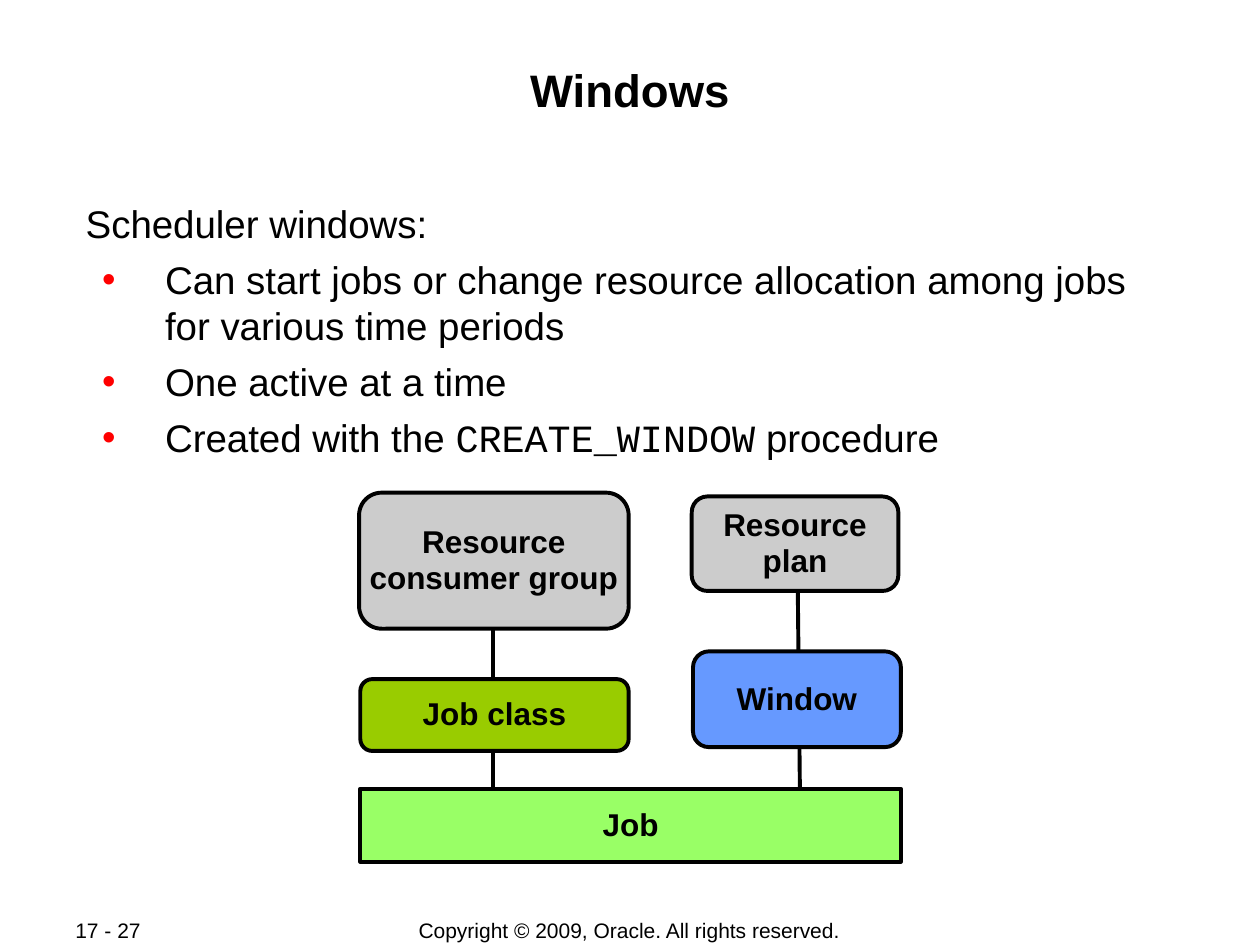
from dataclasses import dataclass

from lxml import etree
from pptx import Presentation
from pptx.dml.color import RGBColor
from pptx.enum import shapes, text
from pptx.oxml.ns import qn
from pptx.util import Inches, Pt

BLACK = RGBColor(0x00, 0x00, 0x00)
GREY = RGBColor(0xCC, 0xCC, 0xCC)
BLUE = RGBColor(0x66, 0x99, 0xFF)
OLIVE = RGBColor(0x99, 0xCC, 0x00)
GREEN = RGBColor(0x99, 0xFF, 0x66)
BULLET_RED = RGBColor(0xFF, 0x00, 0x00)
OUTLINE = Pt(2.25)
ROUNDED = shapes.MSO_SHAPE.ROUNDED_RECTANGLE


@dataclass(frozen=True)
class Box:
    lines: tuple[str, ...]
    left: float
    top: float
    width: float
    height: float
    fill: RGBColor
    outline: shapes.MSO_SHAPE = ROUNDED


@dataclass(frozen=True)
class Link:
    start: tuple[float, float]
    end: tuple[float, float]


@dataclass(frozen=True)
class Footer:
    words: str
    left: float
    width: float
    align: text.PP_ALIGN


LINKS = (
    Link((6.33, 4.51), (6.35, 6.42)),
    Link((3.91, 4.72), (3.91, 6.42)),
)
BOXES = (
    Box(("Resource", "plan"), 5.49, 3.94, 1.64, 0.75, GREY),
    Box(("Resource", "consumer group"), 2.85, 3.91, 2.14, 1.08, GREY),
    Box(("Window",), 5.5, 5.17, 1.65, 0.76, BLUE),
    Box(("Job class",), 2.86, 5.39, 2.13, 0.57, OLIVE),
    Box(("Job",), 2.86, 6.26, 4.29, 0.58, GREEN, shapes.MSO_SHAPE.RECTANGLE),
)
FOOTERS = (
    Footer("Copyright © 2009, Oracle. All rights reserved.", 2.75, 4.49,
           text.PP_ALIGN.CENTER),
    Footer("17 - 27", 0.5, 1.06, text.PP_ALIGN.LEFT),
)
# Each paragraph is a list of (words, font name) runs; the first is the lead-in.
BODY = (
    [("Scheduler windows:", "Arial")],
    [("Can start jobs or change resource allocation among jobs "
      "for various time periods", "Arial")],
    [("One active at a time", "Arial")],
    [("Created with the ", "Arial"), ("CREATE_WINDOW", "Courier New"),
     (" procedure", "Arial")],
)


def style_font(font, size: float, bold: bool = False) -> None:
    font.name = "Arial"
    font.size = Pt(size)
    font.bold = bold
    font.color.rgb = BLACK


def set_frame(frame, anchor, inset_x: float, inset_y: float, wrap: bool = True) -> None:
    frame.auto_size = text.MSO_AUTO_SIZE.NONE
    frame.word_wrap = wrap
    frame.vertical_anchor = anchor
    frame.margin_left = frame.margin_right = Inches(inset_x)
    frame.margin_top = frame.margin_bottom = Inches(inset_y)


def place(shape, left: float, top: float, width: float, height: float) -> None:
    shape.left, shape.top = Inches(left), Inches(top)
    shape.width, shape.height = Inches(width), Inches(height)


def set_bullet(paragraph, bulleted: bool) -> None:
    """Give the paragraph a red hanging bullet, or neither bullet nor indent."""
    props = paragraph._p.get_or_add_pPr()
    props.set("marL", str(Inches(0.63 if bulleted else 0)))
    props.set("indent", str(Inches(-0.5 if bulleted else 0)))
    if not bulleted:
        etree.SubElement(props, qn("a:buNone"))
        return
    colour = etree.SubElement(props, qn("a:buClr"))
    etree.SubElement(colour, qn("a:srgbClr"), val=str(BULLET_RED))
    etree.SubElement(props, qn("a:buFont"), typeface="Arial")
    etree.SubElement(props, qn("a:buChar"), char="•")


def fill_title(title) -> None:
    place(title, 0.67, 0.48, 8.66, 0.96)
    set_frame(title.text_frame, text.MSO_ANCHOR.TOP, 0.01, 0.01)
    heading = title.text_frame.paragraphs[0]
    heading.text = "Windows"
    heading.alignment = text.PP_ALIGN.CENTER
    style_font(heading.font, 26, bold=True)


def fill_body(body) -> None:
    place(body, 0.67, 1.58, 8.66, 2.09)
    frame = body.text_frame
    set_frame(frame, text.MSO_ANCHOR.TOP, 0.01, 0.01)
    for index, runs in enumerate(BODY):
        paragraph = frame.add_paragraph() if index else frame.paragraphs[0]
        bulleted = index > 0
        paragraph.level = int(bulleted)
        set_bullet(paragraph, bulleted)
        paragraph.space_before = Pt(5.5 if index else 0)
        style_font(paragraph.font, 22)
        for words, font_name in runs:
            run = paragraph.add_run()
            run.text = words
            run.font.name = font_name


def draw_link(slide, link: Link) -> None:
    (x1, y1), (x2, y2) = link.start, link.end
    line = slide.shapes.add_connector(
        shapes.MSO_CONNECTOR.STRAIGHT,
        Inches(x1), Inches(y1), Inches(x2), Inches(y2))
    line.line.color.rgb = BLACK
    line.line.width = OUTLINE
    etree.SubElement(line._element.spPr, qn("a:effectLst"))


def draw_box(slide, box: Box) -> None:
    shape = slide.shapes.add_shape(
        box.outline, Inches(box.left), Inches(box.top),
        Inches(box.width), Inches(box.height))
    shape.shadow.inherit = False
    shape.fill.solid()
    shape.fill.fore_color.rgb = box.fill
    shape.line.color.rgb = BLACK
    shape.line.width = OUTLINE
    frame = shape.text_frame
    set_frame(frame, text.MSO_ANCHOR.MIDDLE, 0.05, 0.05, wrap=False)
    frame.text = "\n".join(box.lines)
    for paragraph in frame.paragraphs:
        paragraph.alignment = text.PP_ALIGN.CENTER
        paragraph.line_spacing = 0.95
        style_font(paragraph.font, 18, bold=True)


def draw_footer(slide, footer: Footer) -> None:
    note = slide.shapes.add_textbox(
        Inches(footer.left), Inches(7.28), Inches(footer.width), Inches(0.21))
    set_frame(note.text_frame, text.MSO_ANCHOR.MIDDLE, 0.1, 0)
    paragraph = note.text_frame.paragraphs[0]
    paragraph.text = footer.words
    paragraph.alignment = footer.align
    style_font(paragraph.font, 12)


def main() -> None:
    deck = Presentation()
    deck.slide_width, deck.slide_height = Inches(10), Inches(7.5)
    slide = deck.slides.add_slide(deck.slide_layouts[1])
    fill_title(slide.shapes.title)
    fill_body(slide.placeholders[1])
    for link in LINKS:
        draw_link(slide, link)
    for box in BOXES:
        draw_box(slide, box)
    for footer in FOOTERS:
        draw_footer(slide, footer)
    deck.save("out.pptx")


if __name__ == "__main__":
    main()
